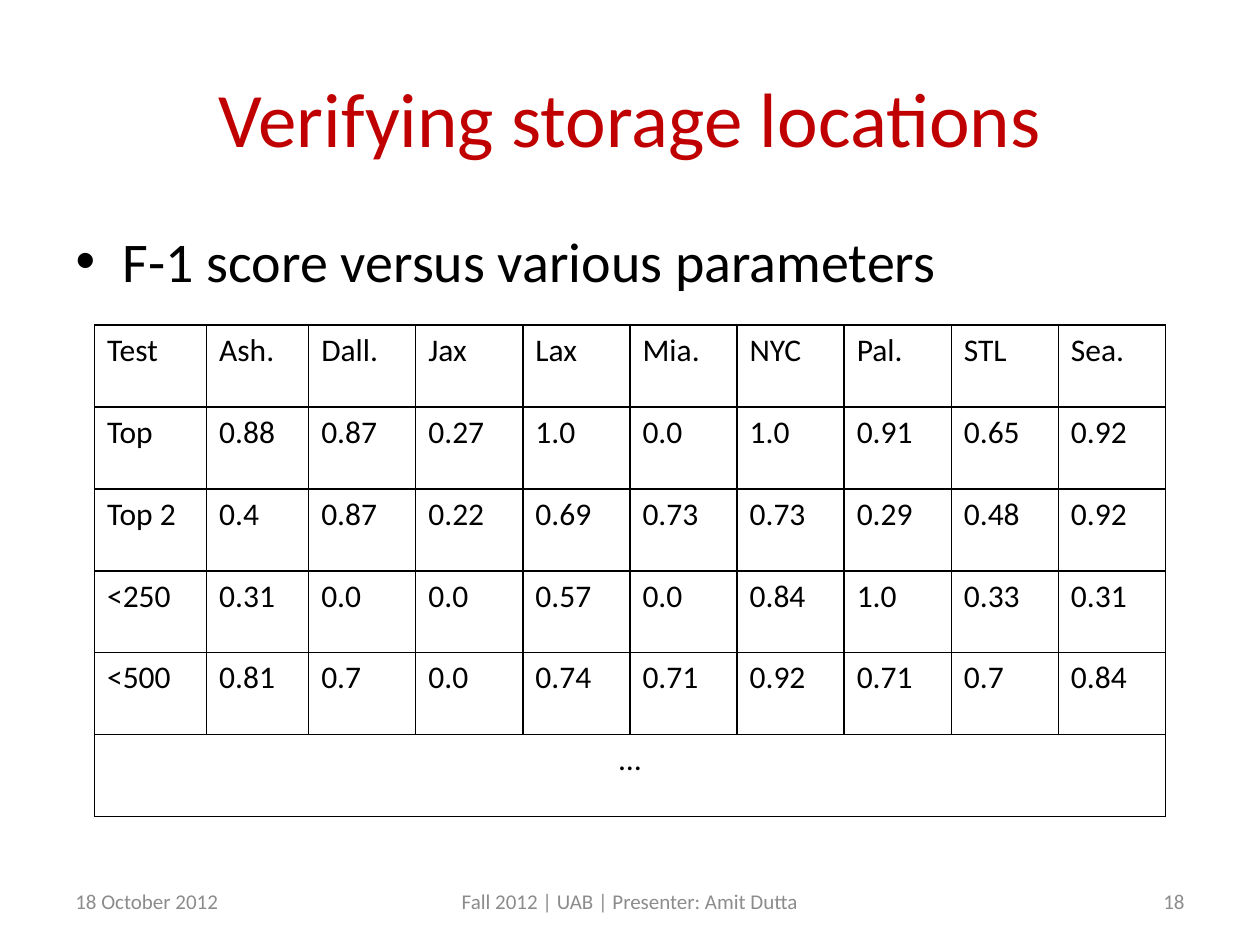
"""Build the slide on F-1 scores for verifying storage locations."""
from dataclasses import dataclass

from lxml import etree
from pptx import Presentation
from pptx.dml.color import RGBColor
from pptx.enum.text import MSO_ANCHOR, PP_ALIGN
from pptx.oxml.ns import qn
from pptx.util import Inches, Pt

LEFT, CENTER, RIGHT = PP_ALIGN.LEFT, PP_ALIGN.CENTER, PP_ALIGN.RIGHT
MIDDLE = MSO_ANCHOR.MIDDLE
TITLE_AND_CONTENT = 1
SLIDE_WIDTH, SLIDE_HEIGHT = 10, 7.5
MARGIN = 0.05 * SLIDE_WIDTH
CONTENT_WIDTH = SLIDE_WIDTH - 2 * MARGIN
FOOTER_TOP, FOOTER_HEIGHT = 6.95, 0.4
SIDE_WIDTH, CREDIT_WIDTH = 2.33, 0.4 * SLIDE_WIDTH
TABLE_LEFT, TABLE_TOP, ROW_HEIGHT = 0.75, 2.58, 0.65
TEST_WIDTH, FIRST_CITY_WIDTH, CITY_WIDTH = 0.89, 0.81, 0.85
BORDER_SIDES = ("a:lnL", "a:lnR", "a:lnT", "a:lnB")

SCORES = (
    ("Test", "Ash.", "Dall.", "Jax", "Lax", "Mia.", "NYC", "Pal.", "STL", "Sea."),
    ("Top", "0.88", "0.87", "0.27", "1.0", "0.0", "1.0", "0.91", "0.65", "0.92"),
    ("Top 2", "0.4", "0.87", "0.22", "0.69", "0.73", "0.73", "0.29", "0.48", "0.92"),
    ("<250", "0.31", "0.0", "0.0", "0.57", "0.0", "0.84", "1.0", "0.33", "0.31"),
    ("<500", "0.81", "0.7", "0.0", "0.74", "0.71", "0.92", "0.71", "0.7", "0.84"),
)


@dataclass(frozen=True)
class Theme:
    """Hold the colours and type sizes of the slide."""

    font: str = "Calibri"
    accent: str = "C00000"
    ink: str = "000000"
    muted: str = "8C8C8C"
    title_size: int = 44
    body_size: int = 32
    table_size: int = 18
    footer_size: int = 12
    border_width: int = 1


THEME = Theme()


def write(frame, text, size, color, align=LEFT):
    """Write one formatted paragraph into a text frame."""
    frame.text = text
    paragraph = frame.paragraphs[0]
    paragraph.alignment = align
    paragraph.font.name = THEME.font
    paragraph.font.size = Pt(size)
    paragraph.font.color.rgb = RGBColor.from_string(color)


def fill_placeholder(placeholder, box, text, size, color, align=LEFT):
    """Move a placeholder to its box and write its text."""
    placeholder.left, placeholder.top, placeholder.width, placeholder.height = map(Inches, box)
    write(placeholder.text_frame, text, size, color, align)


def add_footer(slide, left, width, text, align):
    """Add one part of the footer line."""
    box = (left, FOOTER_TOP, width, FOOTER_HEIGHT)
    frame = slide.shapes.add_textbox(*map(Inches, box)).text_frame
    frame.word_wrap = True
    frame.vertical_anchor = MIDDLE
    write(frame, text, THEME.footer_size, THEME.muted, align)


def style_cell(cell):
    """Give a cell solid borders and no fill."""
    properties = cell._tc.get_or_add_tcPr()
    for side in BORDER_SIDES:
        line = etree.SubElement(properties, qn(side), w=str(Pt(THEME.border_width)))
        fill = etree.SubElement(line, qn("a:solidFill"))
        etree.SubElement(fill, qn("a:srgbClr"), val=THEME.ink)
    cell.fill.background()


def add_score_table(slide):
    """Add the grid of scores, closed by one merged row."""
    row_count, column_count = len(SCORES) + 1, len(SCORES[0])
    widths = [TEST_WIDTH, FIRST_CITY_WIDTH] + [CITY_WIDTH] * (column_count - 2)
    box = (TABLE_LEFT, TABLE_TOP, sum(widths), row_count * ROW_HEIGHT)
    table = slide.shapes.add_table(row_count, column_count, *map(Inches, box)).table
    table.first_row = table.horz_banding = False
    for column, width in zip(table.columns, widths):
        column.width = Inches(width)
    for cell in table.iter_cells():
        style_cell(cell)
    for row_index, scores in enumerate(SCORES):
        for column_index, score in enumerate(scores):
            frame = table.cell(row_index, column_index).text_frame
            write(frame, score, THEME.table_size, THEME.ink)
    last_row = row_count - 1
    continuation = table.cell(last_row, 0)
    continuation.merge(table.cell(last_row, column_count - 1))
    write(continuation.text_frame, "…", THEME.table_size, THEME.ink, CENTER)


def main():
    """Compose the slide and save it."""
    deck = Presentation()
    deck.slide_width, deck.slide_height = Inches(SLIDE_WIDTH), Inches(SLIDE_HEIGHT)
    slide = deck.slides.add_slide(deck.slide_layouts[TITLE_AND_CONTENT])
    title, body = slide.placeholders
    fill_placeholder(title, (MARGIN, 0.3, CONTENT_WIDTH, 1.25),
                     "Verifying storage locations", THEME.title_size, THEME.accent, CENTER)
    fill_placeholder(body, (MARGIN, 1.75, CONTENT_WIDTH, 4.95),
                     "F-1 score versus various parameters", THEME.body_size, THEME.ink)
    add_footer(slide, MARGIN, SIDE_WIDTH, "18 October 2012", LEFT)
    add_footer(slide, (SLIDE_WIDTH - CREDIT_WIDTH) / 2, CREDIT_WIDTH,
               "Fall 2012 | UAB | Presenter: Amit Dutta", CENTER)
    add_footer(slide, SLIDE_WIDTH - MARGIN - SIDE_WIDTH, SIDE_WIDTH, "18", RIGHT)
    add_score_table(slide)
    deck.save("out.pptx")


if __name__ == "__main__":
    main()
